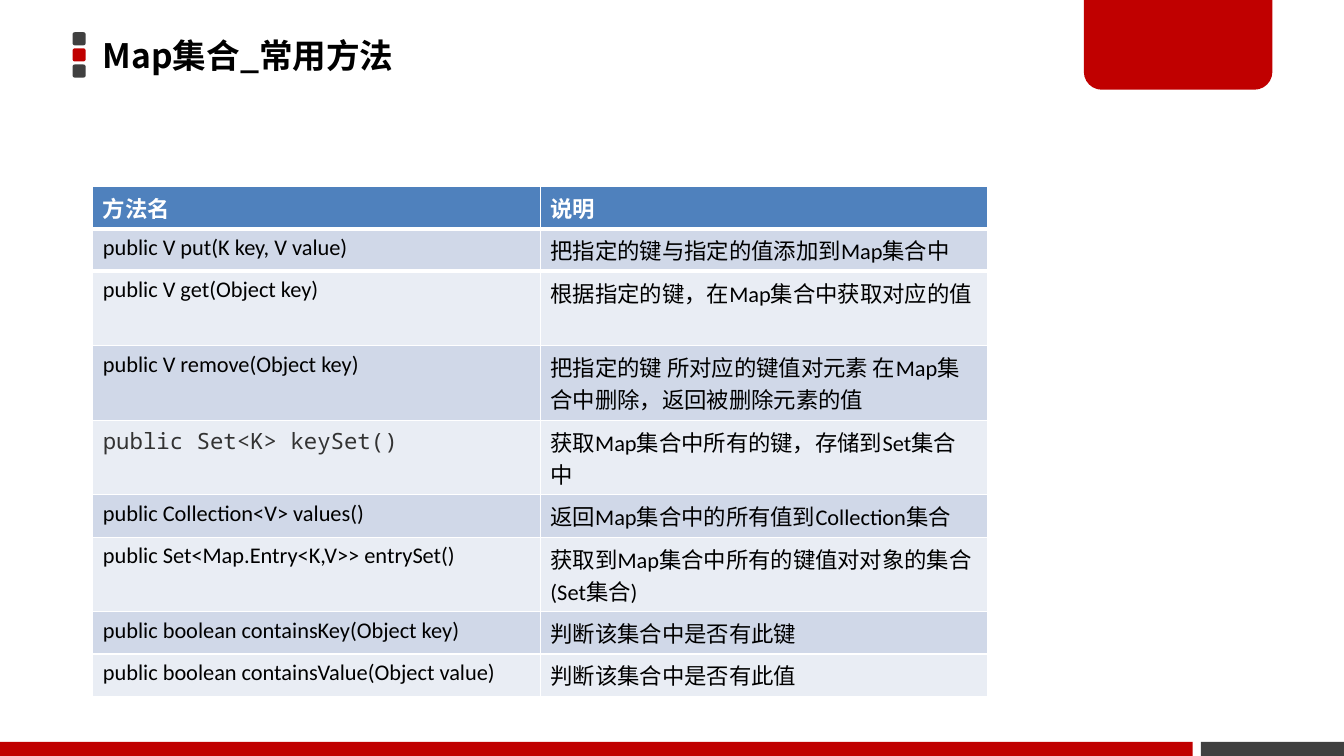
from lxml import etree
from pptx import Presentation
from pptx import util as u
from pptx.dml.color import RGBColor
from pptx.enum import shapes, text
from pptx.oxml import ns

WIDTH, HEIGHT = 13.33, 7.5
RED, GRAY, BLACK, WHITE = "C00000", "404040", "000000", "FFFFFF"
HEADER_FILL, BAND_FILLS = "4F81BD", ("D0D8E8", "E9EDF4")
LATIN, CJK, MONO = "Calibri", "Noto Sans CJK JP", "Noto Sans Mono"

TITLE = "Map集合_常用方法"
HEADER = ("方法名", "说明", 1)
METHODS = [
    ("public V put(K key, V value)", "把指定的键与指定的值添加到Map集合中", 1),
    ("public V get(Object key)", "根据指定的键，在Map集合中获取对应的值", 2),
    ("public V remove(Object key)", "把指定的键 所对应的键值对元素 在Map集合中删除，返回被删除元素的值", 2),
    ("public Set<K> keySet()", "获取Map集合中所有的键，存储到Set集合中", 2),
    ("public Collection<V> values()", "返回Map集合中的所有值到Collection集合", 1),
    ("public Set<Map.Entry<K,V>> entrySet()", "获取到Map集合中所有的键值对对象的集合(Set集合)", 2),
    ("public boolean containsKey(Object key)", "判断该集合中是否有此键", 1),
    ("public boolean containsValue(Object value)", "判断该集合中是否有此值", 1),
]
MONO_METHOD = "public Set<K> keySet()"

MARGIN = 0.92
MARKER_LEFT, MARKER_TOP, MARKER_SIZE, MARKER_STEP = 0.72, 0.32, 0.13, 0.16
FOOTER_HEIGHT, FOOTER_SPLIT, FOOTER_GAP = 0.14, 11.83, 0.08
TABLE_TOP, COLUMN_WIDTH = 1.85, 4.44
ROW_PADDING, LINE_HEIGHT = 0.1, 0.32
HEADER_RULE = 3


def color(value):
    return RGBColor.from_string(value)


def box(left, top, width, height):
    return [u.Inches(length) for length in (left, top, width, height)]


def add_block(slide, kind, place, fill):
    shape = slide.shapes.add_shape(kind, *box(*place))
    shape.shadow.inherit = False
    shape.fill.solid()
    shape.fill.fore_color.rgb = color(fill)
    shape.line.fill.background()
    return shape


def write(frame, content, size, font_name, font_color, bold):
    paragraph = frame.paragraphs[0]
    paragraph.add_run().text = content
    font = paragraph.font
    font.size, font.name, font.bold = u.Pt(size), font_name, bold
    font.color.rgb = color(font_color)
    properties = paragraph._p.find(".//" + ns.qn("a:defRPr"))
    etree.SubElement(properties, ns.qn("a:ea"), typeface=CJK)


def add_rule(cell, side):
    line = etree.Element(ns.qn(f"a:{side}"), w=str(u.Pt(HEADER_RULE)))
    fill = etree.SubElement(line, ns.qn("a:solidFill"))
    etree.SubElement(fill, ns.qn("a:srgbClr"), val=WHITE)
    cell._tc.get_or_add_tcPr().insert(0, line)


def add_decoration(slide):
    kinds = shapes.MSO_SHAPE
    for index, fill in enumerate((GRAY, RED, GRAY)):
        top = MARKER_TOP + index * MARKER_STEP
        add_block(slide, kinds.ROUNDED_RECTANGLE, (MARKER_LEFT, top, MARKER_SIZE, MARKER_SIZE), fill)

    footer_top = HEIGHT - FOOTER_HEIGHT
    gray_left = FOOTER_SPLIT + FOOTER_GAP
    for left, right, fill in ((gray_left, WIDTH, GRAY), (0, FOOTER_SPLIT, RED)):
        add_block(slide, kinds.RECTANGLE, (left, footer_top, right - left, FOOTER_HEIGHT), fill)

    tab = add_block(slide, kinds.ROUND_2_SAME_RECTANGLE, (10.75, 0, 1.87, 0.89), RED)
    tab.adjustments[0], tab.adjustments[1] = 0, 0.2


def add_title(slide):
    frame = slide.shapes.add_textbox(*box(MARGIN, 0.26, 9.59, 0.57)).text_frame
    frame.word_wrap = True
    frame.vertical_anchor = text.MSO_ANCHOR.MIDDLE
    write(frame, TITLE, 24, CJK, BLACK, True)


def add_methods(slide):
    rows = [HEADER, *METHODS]
    heights = [ROW_PADDING + lines * LINE_HEIGHT for *_, lines in rows]
    column_count = len(HEADER) - 1
    place = box(MARGIN, TABLE_TOP, column_count * COLUMN_WIDTH, sum(heights))
    table = slide.shapes.add_table(len(rows), column_count, *place).table
    for row_index, (*contents, _) in enumerate(rows):
        table.rows[row_index].height = u.Inches(heights[row_index])
        is_header = row_index == 0
        fill = HEADER_FILL if is_header else BAND_FILLS[(row_index - 1) % 2]
        for column_index, content in enumerate(contents):
            cell = table.cell(row_index, column_index)
            cell.fill.solid()
            cell.fill.fore_color.rgb = color(fill)
            if row_index < 2:
                add_rule(cell, "lnB" if is_header else "lnT")
            font_name, font_color = LATIN, WHITE if is_header else BLACK
            if content == MONO_METHOD:
                font_name, font_color = MONO, "333333"
            write(cell.text_frame, content, 16, font_name, font_color, is_header)


def main():
    presentation = Presentation()
    presentation.slide_width = u.Inches(WIDTH)
    presentation.slide_height = u.Inches(HEIGHT)
    slide = presentation.slides.add_slide(presentation.slide_layouts[6])
    add_decoration(slide)
    add_title(slide)
    add_methods(slide)
    presentation.save("out.pptx")


if __name__ == "__main__":
    main()
